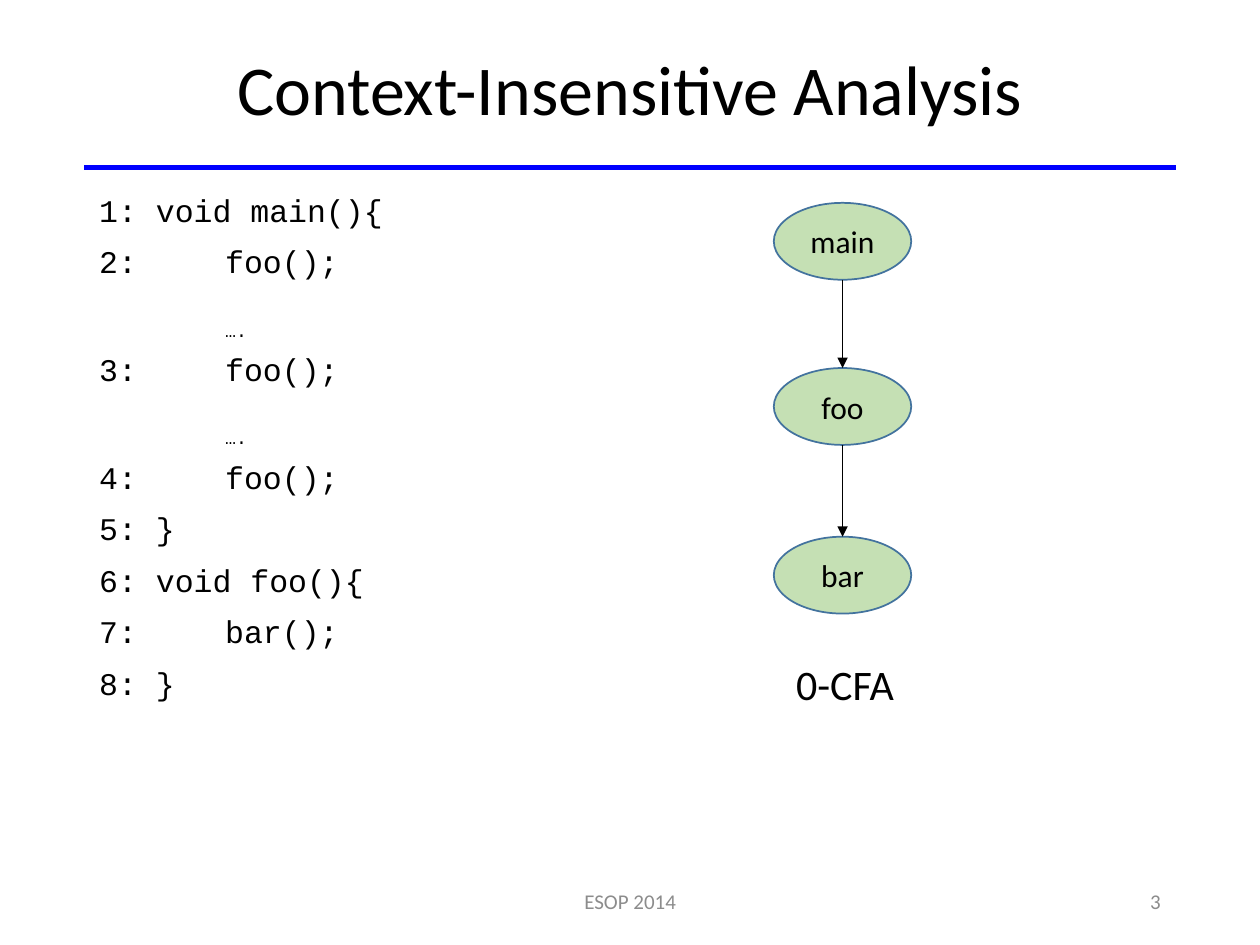
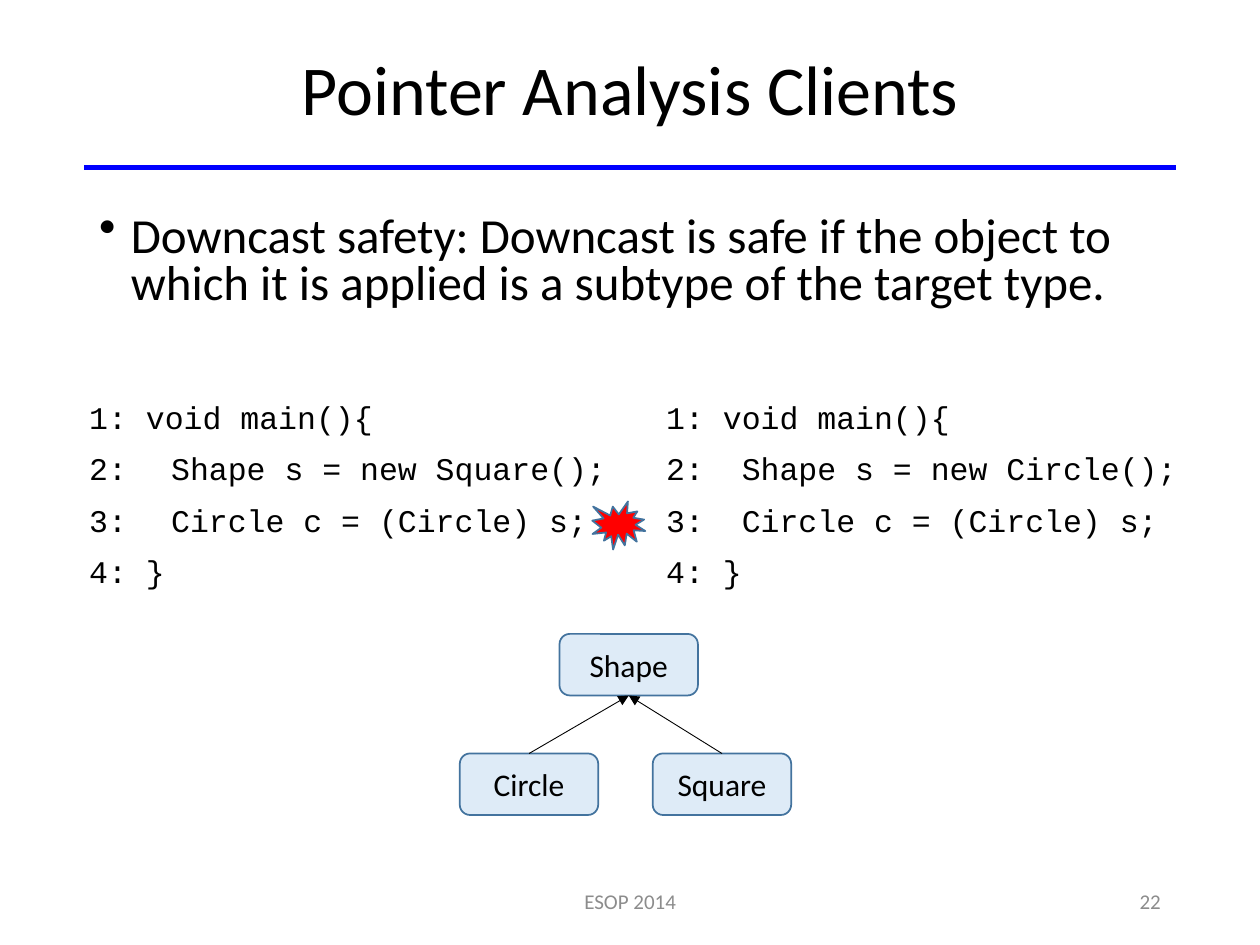
import lxml.etree
import pptx
import pptx.dml.color
import pptx.enum.shapes
import pptx.enum.text
import pptx.oxml.ns
import pptx.util

Cm, Pt = pptx.util.Cm, pptx.util.Pt
KIND = pptx.enum.shapes.MSO_SHAPE
ALIGN = pptx.enum.text.PP_ALIGN
ANCHOR = pptx.enum.text.MSO_ANCHOR

BLACK, GREY, BLUE, EDGE = "000000", "8C8C8C", "0000FF", "43739E"
GREEN, PALE, RED = "C5E0B4", "DEEBF7", "FF0000"

# Text styles: font, paragraph and frame values
TITLE = dict(size=40, align=ALIGN.CENTER, lead=0.9, anchor=ANCHOR.MIDDLE)
CODE = dict(size=18, face="Courier New", lead=0.9, before=10, tabs=(1.27, 2.54))
POINT = dict(size=28, lead=0.8, before=10, bullet="•")
LABEL = dict(size=24)
NODE = dict(size=18, align=ALIGN.CENTER, anchor=ANCHOR.MIDDLE)
FOOT = dict(size=12, color=GREY, align=ALIGN.CENTER, anchor=ANCHOR.MIDDLE)
PAGE = dict(FOOT, align=ALIGN.RIGHT)

# Content; places are left, top, width, height in centimetres
VENUE = "ESOP 2014"
DOTS = "\t\t…."
CALLS = [
    "1: void main(){", "2:\t\tfoo();", DOTS, "3:\t\tfoo();", DOTS,
    "4:\t\tfoo();", "5: }", "6: void foo(){", "7:\t\tbar();", "8: }",
]
CHAIN = [("main", 4.09), ("foo", 7.42), ("bar", 10.82)]
SAFETY = ("Downcast safety: Downcast is safe if the object to which it is "
          "applied is a subtype of the target type.")
CASTS = [
    (1.55, ["1: void main(){", "2:\t Shape s = new Square();",
            "3:\t Circle c = (Circle) s;", "4: }"]),
    (13.18, ["1: void main(){", "2:  Shape s = new Circle();",
             "3:  Circle c = (Circle) s;", "4: }"]),
]
PARENT = ("Shape", 11.28, 12.78)
KIDS = [("Circle", 9.27, 15.19), ("Square", 13.16, 15.19)]


def rgb(code):
    return pptx.dml.color.RGBColor.from_string(code)


def assign(item, values):
    """Set each attribute of item that has a value."""
    for name, value in values.items():
        if value is not None:
            setattr(item, name, value)


def add_tag(parent, name, **attrs):
    tag = lxml.etree.SubElement(parent, pptx.oxml.ns.qn(name))
    for key, value in attrs.items():
        tag.set(key, str(value))
    return tag


def write(shape, lines, style):
    """Fill the shape with one paragraph per line."""
    frame = shape.text_frame
    assign(frame, dict(word_wrap=True, vertical_anchor=style.get("anchor")))
    for i, line in enumerate(lines):
        para = frame.add_paragraph() if i else frame.paragraphs[0]
        before = style.get("before")
        assign(para, dict(alignment=style.get("align", ALIGN.LEFT),
                          line_spacing=style.get("lead"),
                          space_before=Pt(before) if before else None))
        props = para._p.get_or_add_pPr()
        if "bullet" in style:
            props.set("marL", str(Cm(0.64)))
            props.set("indent", str(-Cm(0.64)))
            add_tag(props, "a:buChar", char=style["bullet"])
        if "tabs" in style:
            stops = add_tag(props, "a:tabLst")
            for stop in style["tabs"]:
                add_tag(stops, "a:tab", pos=Cm(stop), algn="l")
        run = para.add_run()
        run.text = line
        assign(run.font, dict(size=Pt(style["size"]),
                              name=style.get("face", "Calibri")))
        run.font.color.rgb = rgb(style.get("color", BLACK))
        if line == DOTS:
            run._r.get_or_add_rPr().set("baseline", "-25000")


def add_text(slide, place, lines, style):
    box = slide.shapes.add_textbox(*map(Cm, place))
    write(box, lines, style)


def add_node(slide, kind, place, fill, text=None):
    node = slide.shapes.add_shape(kind, *map(Cm, place))
    node.shadow.inherit = False
    node.fill.solid()
    node.fill.fore_color.rgb = rgb(fill)
    node.line.color.rgb = rgb(EDGE)
    node.line.width = Pt(1)
    if text:
        write(node, [text], NODE)
    return node


def add_line(slide, start, end, color=BLACK, width=0.5, arrow=True):
    line = slide.shapes.add_connector(
        pptx.enum.shapes.MSO_CONNECTOR.STRAIGHT, *start, *end)
    line.line.color.rgb = rgb(color)
    line.line.width = Pt(width)
    if arrow:
        add_tag(line.line._get_or_add_ln(), "a:tailEnd", type="triangle")
    add_tag(line._element.spPr, "a:effectLst")
    return line


def top_mid(node):
    return node.left + node.width // 2, node.top


def low_mid(node):
    return node.left + node.width // 2, node.top + node.height


def add_slide(deck, title, number):
    """Add a slide with the shared title, rule and footers."""
    slide = deck.slides.add_slide(deck.slide_layouts[6])
    add_line(slide, (Cm(1.7), Cm(3.38)), (Cm(23.7), Cm(3.38)), BLUE, 3, False)
    add_text(slide, (1.75, 0.41, 21.9, 2.92), [title], TITLE)
    add_text(slide, (8.41, 17.65, 8.59, 1.02), [VENUE], FOOT)
    add_text(slide, (17.93, 17.65, 5.72, 1.02), [str(number)], PAGE)
    return slide


def draw_calls(deck):
    slide = add_slide(deck, "Context-Insensitive Analysis", 3)
    add_text(slide, (1.75, 3.81, 8.03, 10.03), CALLS, CODE)
    add_text(slide, (15.8, 13.16, 2.57, 1.27), ["0-CFA"], LABEL)
    nodes = [add_node(slide, KIND.OVAL, (15.6, top, 2.77, 1.55), GREEN, name)
             for name, top in CHAIN]
    for upper, lower in zip(nodes, nodes[1:]):
        add_line(slide, low_mid(upper), top_mid(lower))


def draw_casts(deck):
    slide = add_slide(deck, "Pointer Analysis Clients", 22)
    add_text(slide, (1.75, 4.22, 21.9, 2.39), [SAFETY], POINT)
    for left, lines in CASTS:
        add_text(slide, (left, 7.98, 11.4, 4.34), lines, CODE)
    add_node(slide, KIND.EXPLOSION1, (11.94, 10.11, 1.07, 0.97), RED)
    root, *kids = [
        add_node(slide, KIND.ROUNDED_RECTANGLE, (left, top, 2.79, 1.24),
                 PALE, name)
        for name, left, top in [PARENT, *KIDS]]
    for kid in kids:
        line = add_line(slide, top_mid(kid), low_mid(root))
        line.begin_connect(kid, 0)
        line.end_connect(root, 2)


def main():
    deck = pptx.Presentation()
    assign(deck, dict(slide_width=Cm(25.4), slide_height=Cm(19.05)))
    draw_calls(deck)
    draw_casts(deck)
    deck.save("out.pptx")


if __name__ == "__main__":
    main()
